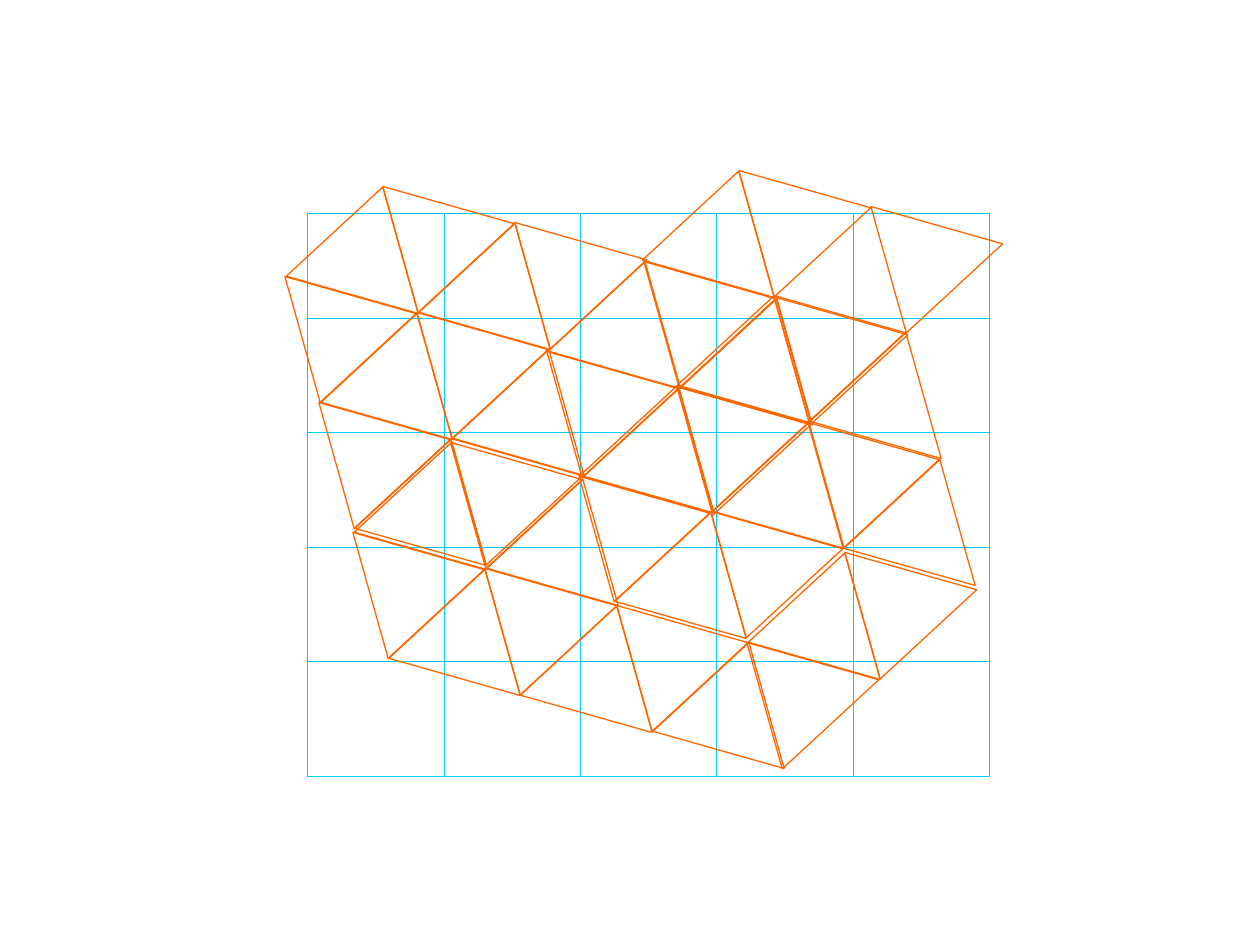
from lxml.etree import SubElement
from pptx import Presentation
from pptx.dml.color import RGBColor
from pptx.enum.shapes import MSO_CONNECTOR, MSO_SHAPE
from pptx.oxml.ns import qn
from pptx.util import Emu, Pt

HUES = {"grid": "00CCFF", "tile": "FF6600"}
COLS = [307, 444, 580, 716, 853, 989]
ROWS = [213, 318, 432, 547, 661, 776]

SIZE = (137, 112)
STEP = (66, 18)
DROP = (34, 126)
TILT = 15.8
PATCHES = [
    ((299, 185), [(0, 1, 2, 3), (-1, 0, 1, 2), (-1, 0, 1)]),
    ((561, 260), [(0, 1, 2), (-1, 0, 1)]),
    ((593, 384), [(0, 1, 2), (-1, 0, 1)]),
    ((533, 604), [(0, 1, 2)]),
    ((856, 457), [(-1, 0)]),
    ((367, 441), [(0, 1, 2), (-1, 0, 1)]),
    ((761, 551), [(0, 1), (-1,)]),
    ((822, 330), [(-2, -1, 0)]),
    ((692, 296), [(-1, 1)]),
    ((655, 169), [(0, 1, 3)]),
]


def px(n):
    return Emu(round(n * 914400 / 126))


def ink(line, hue, width):
    line.color.rgb = RGBColor.from_string(HUES[hue])
    line.width = Pt(width)


def outline(group, kind, box, hue, width):
    shape = group.shapes.add_shape(kind, *map(px, box))
    shape.shadow.inherit = False
    shape.fill.background()
    ink(shape.line, hue, width)
    return shape


def rule(group, *ends):
    line = group.shapes.add_connector(MSO_CONNECTOR.STRAIGHT, *map(px, ends))
    ink(line.line, "grid", 0.25)
    SubElement(line._element.spPr, qn("a:effectLst"))


def draw_grid(group):
    for top, low in zip(ROWS, ROWS[1:]):
        for left, right in zip(COLS, COLS[1:]):
            box = (left, top, right - left, low - top)
            outline(group, MSO_SHAPE.RECTANGLE, box, "grid", 0.25)
    for y in ROWS:
        rule(group, COLS[0], y, COLS[-1], y)
    for x in COLS:
        rule(group, x, ROWS[0], x, ROWS[-1])


def draw_tiles(group):
    for (left, top), bands in PATCHES:
        for row, band in enumerate(bands):
            for col in band:
                x = left + col * STEP[0] + row * DROP[0]
                y = top + col * STEP[1] + row * DROP[1]
                tile = outline(group, MSO_SHAPE.ISOSCELES_TRIANGLE,
                               (x, y, *SIZE), "tile", 0.75)
                tile.rotation = TILT + 180 * (col % 2)


def main():
    deck = Presentation()
    deck.slide_width, deck.slide_height = px(1260), px(945)
    slide = deck.slides.add_slide(deck.slide_layouts[6])
    draw_grid(slide.shapes.add_group_shape())
    draw_tiles(slide.shapes.add_group_shape())
    deck.save("out.pptx")


if __name__ == "__main__":
    main()
